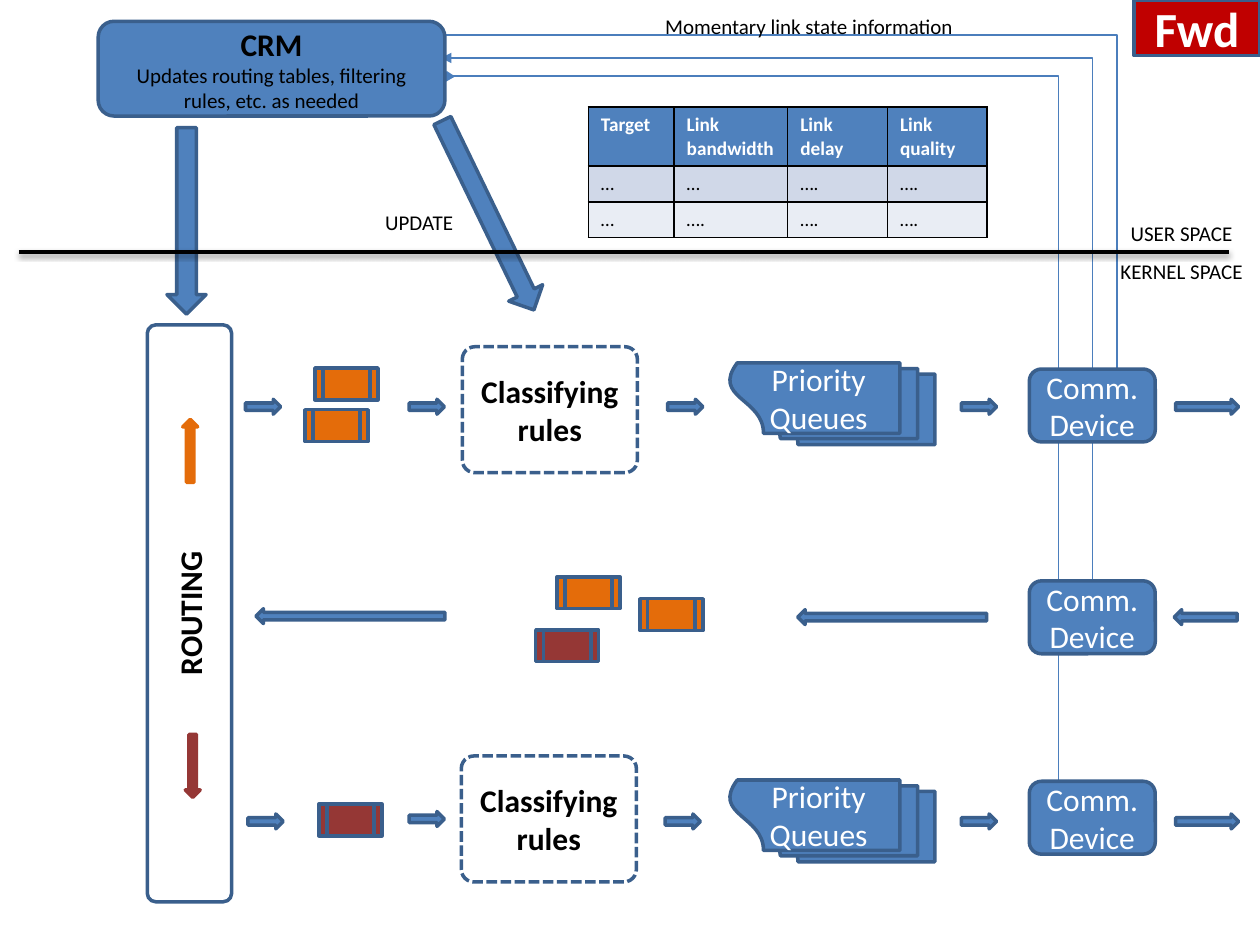
import lxml.etree
import pptx
import pptx.dml.color
import pptx.enum.dml
import pptx.enum.shapes
import pptx.enum.text
import pptx.oxml.ns
import pptx.util
from pptx.util import Cm

SHAPE = pptx.enum.shapes.MSO_SHAPE
CONNECTOR = pptx.enum.shapes.MSO_CONNECTOR
ALIGN = pptx.enum.text.PP_ALIGN
BLUE, EDGE, LINK = "4F81BD", "3A5F8C", "4B7EBC"
ORANGE, RED, BADGE = "E46C0A", "953735", "C00000"
BLACK, WHITE = "000000", "FFFFFF"

LINK_TABLE = [
    ["Target", "Link bandwidth", "Link delay", "Link quality"],
    ["…", "…", "….", "…."],
    ["…", "….", "….", "…."],
]
ROW_FILLS = [BLUE, "D0D8E8", "E9EDF4"]
SHORT, MEDIUM, LONG, THIN = 0.71, 1.27, 3.81, 0.3
FLOW_ARROWS = [
    (4.95, 8.05, SHORT, 0), (8.25, 8.05, SHORT, 0), (13.46, 8.05, SHORT, 0),
    (19.38, 8.05, SHORT, 0), (23.7, 8.05, MEDIUM, 0),
    (5.16, 12.27, LONG, 180), (16.08, 12.29, LONG, 180), (23.67, 12.29, MEDIUM, 180),
    (5, 16.41, SHORT, 0), (8.25, 16.36, SHORT, 0), (13.41, 16.41, SHORT, 0),
    (19.38, 16.41, SHORT, 0), (23.7, 16.41, MEDIUM, 0),
]
PACKETS = [
    (6.35, 7.42, ORANGE), (6.15, 8.26, ORANGE), (11.23, 11.63, ORANGE),
    (12.9, 12.07, ORANGE), (10.8, 12.7, RED), (6.43, 16.21, RED),
]


def color(hex_code):
    return pptx.dml.color.RGBColor.from_string(hex_code)


def add_child(parent, tag, **attributes):
    child = lxml.etree.SubElement(parent, pptx.oxml.ns.qn(tag))
    for name, value in attributes.items():
        child.set(name, str(value))
    return child


def write(frame, lines, ink, align=ALIGN.CENTER):
    """Fill a text frame from (text, size, bold) lines."""
    frame.word_wrap = True
    for index, (text, size, bold) in enumerate(lines):
        paragraph = frame.add_paragraph() if index else frame.paragraphs[0]
        paragraph.text = text
        paragraph.alignment = align
        paragraph.font.name = "Calibri"
        paragraph.font.size = pptx.util.Pt(size)
        paragraph.font.bold = bold
        paragraph.font.color.rgb = color(ink)


def add_block(slide, kind, box, fill=BLUE, edge=EDGE, lines=(), ink=WHITE,
              rotation=0, vertical=False):
    block = slide.shapes.add_shape(kind, *map(Cm, box))
    block.shadow.inherit = False
    block.rotation = rotation
    if fill:
        block.fill.solid()
        block.fill.fore_color.rgb = color(fill)
    else:
        block.fill.background()
    block.line.color.rgb = color(edge)
    block.line.width = pptx.util.Pt(2)
    if lines:
        write(block.text_frame, lines, ink)
        block.text_frame.vertical_anchor = pptx.enum.text.MSO_ANCHOR.MIDDLE
    if vertical:
        block.text_frame._txBody.bodyPr.set("vert", "vert270")
    return block


def add_label(slide, text, box, align=ALIGN.CENTER):
    label = slide.shapes.add_textbox(*map(Cm, box))
    write(label.text_frame, [(text, 12, False)], BLACK, align)
    label.text_frame.auto_size = pptx.enum.text.MSO_AUTO_SIZE.SHAPE_TO_FIT_TEXT


def add_arrow(slide, box, rotation=0, fill=BLUE, edge=EDGE):
    add_block(slide, SHAPE.RIGHT_ARROW, box, fill, edge, rotation=rotation)


def add_link(slide, start, end, overshoot=None):
    """Run an elbow arrow up from a device and then left to the CRM."""
    middle_x, middle_y = (start[0] + end[0]) / 2, (start[1] + end[1]) / 2
    half_rise, half_run = (start[1] - end[1]) / 2, (start[0] - end[0]) / 2
    link = slide.shapes.add_connector(
        CONNECTOR.ELBOW,
        Cm(middle_x - half_rise), Cm(middle_y + half_run),
        Cm(middle_x + half_rise), Cm(middle_y - half_run))
    link.line.color.rgb = color(LINK)
    link.line.width = pptx.util.Pt(0.75)
    properties = link.element.spPr
    properties.xfrm.set("rot", str(270 * 60000))
    geometry = properties.find(pptx.oxml.ns.qn("a:prstGeom"))
    if overshoot:
        guides = geometry.find(pptx.oxml.ns.qn("a:avLst"))
        add_child(guides, "a:gd", name="adj1", fmla=f"val {overshoot}")
    else:
        geometry.set("prst", "bentConnector2")
    add_child(properties.find(pptx.oxml.ns.qn("a:ln")), "a:tailEnd", type="triangle")
    add_child(properties, "a:effectLst")


def add_space_divider(slide):
    divider = slide.shapes.add_connector(
        CONNECTOR.STRAIGHT, Cm(0.38), Cm(5.08), Cm(24.77), Cm(5.08))
    divider.line.color.rgb = color(BLACK)
    divider.line.width = pptx.util.Pt(2)
    effects = add_child(divider.element.spPr, "a:effectLst")
    shadow = add_child(effects, "a:outerShdw", blurRad=pptx.util.Pt(3.1),
                       dist=pptx.util.Pt(1.6), dir=90 * 60000, rotWithShape=0)
    add_child(add_child(shadow, "a:srgbClr", val=BLACK), "a:alpha", val=38000)


def add_borders(cell):
    properties = cell._tc.get_or_add_tcPr()
    for side in ("a:lnL", "a:lnR", "a:lnT", "a:lnB"):
        border = add_child(properties, side, w=pptx.util.Pt(1))
        add_child(add_child(border, "a:solidFill"), "a:srgbClr", val=BLACK)


def add_link_table(slide):
    table = slide.shapes.add_table(
        3, 4, Cm(11.86), Cm(2.16), Cm(8.05), Cm(2.61)).table
    for column, width in zip(table.columns, (1.73, 2.29, 2.01, 2.01)):
        column.width = Cm(width)
    for row, height in zip(table.rows, (1.19, 0.71, 0.71)):
        row.height = Cm(height)
    for r, texts in enumerate(LINK_TABLE):
        for c, text in enumerate(texts):
            cell = table.cell(r, c)
            add_borders(cell)
            cell.fill.solid()
            cell.fill.fore_color.rgb = color(ROW_FILLS[r])
            write(cell.text_frame, [(text, 11, r == 0)],
                  BLACK if r else WHITE, ALIGN.LEFT)


def add_classifier(slide, left, top):
    classifier = add_block(slide, SHAPE.ROUNDED_RECTANGLE, (left, top, 3.53, 2.54),
                           None, lines=[("Classifying rules", 18, True)], ink=BLACK)
    classifier.adjustments[0] = 0.1
    classifier.line.dash_style = pptx.enum.dml.MSO_LINE.SQUARE_DOT


def main():
    deck = pptx.Presentation()
    deck.slide_width, deck.slide_height = Cm(25.4), Cm(19.05)
    slide = deck.slides.add_slide(deck.slide_layouts[6])

    add_link(slide, (22.52, 7.44), (8.61, 0.71))
    add_link(slide, (22.02, 11.71), (8.89, 1.17))
    add_link(slide, (21.34, 15.75), (8.97, 1.66), overshoot=100900)
    add_label(slide, "Momentary link state information",
              (13.16, 0.15, 6.78, 0.76), ALIGN.LEFT)
    add_link_table(slide)

    add_block(slide, SHAPE.ROUNDED_RECTANGLE, (1.98, 0.43, 6.99, 1.91), ink=BLACK,
              lines=[("CRM", 18, True),
                     ("Updates routing tables, filtering rules, etc. as needed",
                      12, False)])
    for top in (7.44, 11.71, 15.75):
        add_block(slide, SHAPE.ROUNDED_RECTANGLE, (20.75, top, 2.54, 1.47),
                  lines=[("Comm.", 18, False), ("Device", 18, False)])
    routing = add_block(slide, SHAPE.ROUNDED_RECTANGLE, (2.97, 6.55, 1.7, 11.63),
                        None, lines=[("ROUTING", 18, True)], ink=BLACK, vertical=True)
    routing.adjustments[0] = 0.1

    add_arrow(slide, (1.88, 4.06, 3.76, 0.79), 90)
    add_arrow(slide, (7.72, 3.96, 4.24, 0.76), 64.2)
    add_label(slide, "UPDATE", (7.32, 4.09, 2.26, 0.76))
    add_space_divider(slide)
    add_label(slide, "USER SPACE", (22.23, 4.32, 3.18, 0.76))
    add_label(slide, "KERNEL SPACE", (22.23, 5.08, 3.18, 0.76))

    for top in (6.07, 14.48):
        add_block(slide, SHAPE.FLOWCHART_MULTIDOCUMENT, (15.95, top, 1.65, 4.14),
                  lines=[("Priority", 18, False), ("Queues", 18, False)],
                  rotation=90, vertical=True)
    add_classifier(slide, 9.32, 6.99)
    add_classifier(slide, 9.3, 15.24)

    for left, top, length, rotation in FLOW_ARROWS:
        add_arrow(slide, (left, top, length, THIN), rotation)
    add_arrow(slide, (3.2, 8.94, MEDIUM, THIN), 270, ORANGE, ORANGE)
    add_arrow(slide, (3.25, 15.29, MEDIUM, THIN), 90, RED, RED)
    for left, top, fill in PACKETS:
        add_block(slide, SHAPE.FLOWCHART_PREDEFINED_PROCESS,
                  (left, top, 1.27, 0.64), fill)
    add_block(slide, SHAPE.RECTANGLE, (22.86, 0, 2.54, 1.12), BADGE,
              lines=[("Fwd", 28, True)])
    deck.save("out.pptx")


if __name__ == "__main__":
    main()
